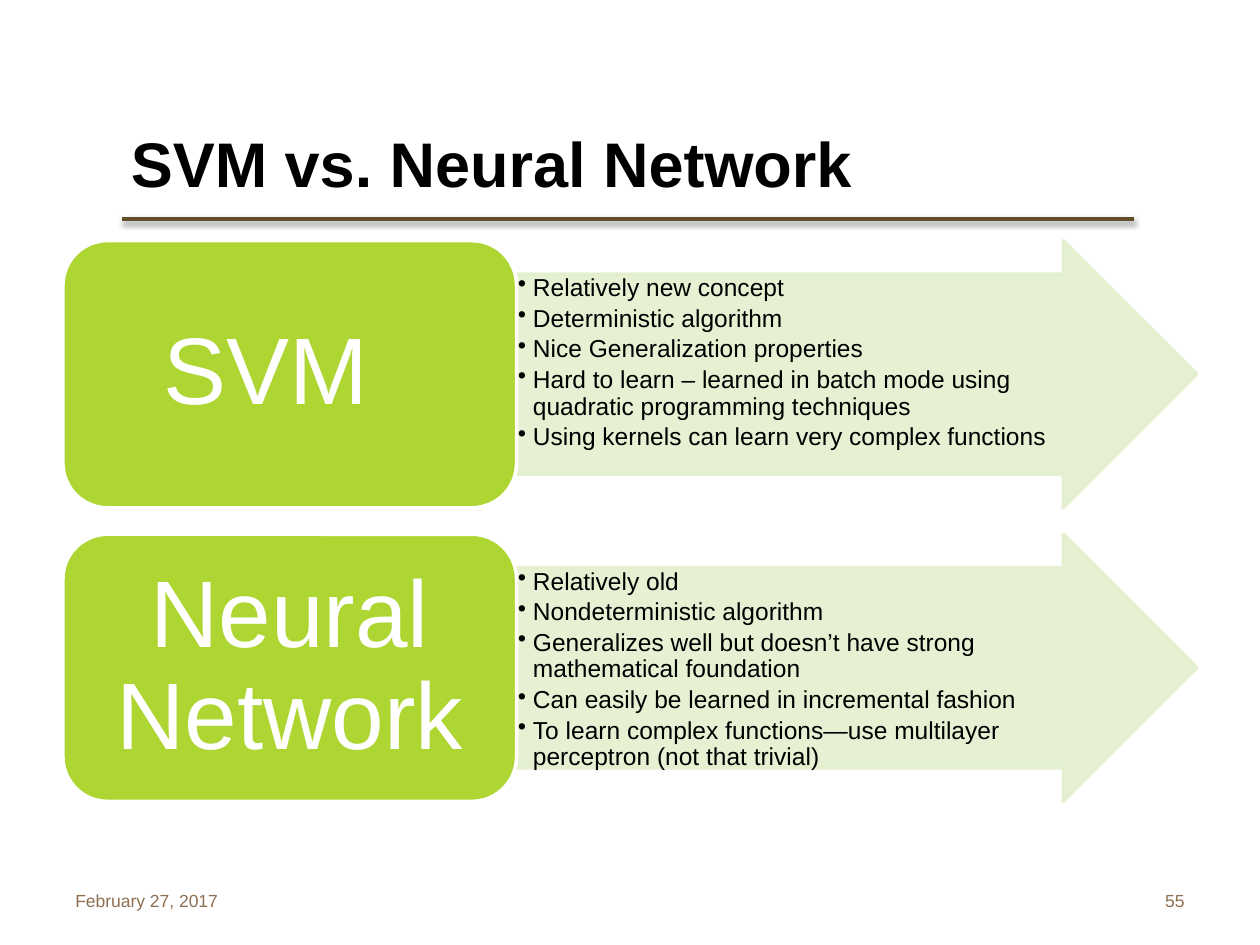
from dataclasses import dataclass

from lxml import etree
from pptx import Presentation
from pptx.dml.color import RGBColor
from pptx.enum.shapes import MSO_CONNECTOR, MSO_SHAPE
from pptx.enum.text import MSO_ANCHOR, PP_ALIGN
from pptx.oxml import parse_xml
from pptx.oxml.ns import nsdecls, qn
from pptx.util import Inches, Pt

LEFT, CENTER, RIGHT = PP_ALIGN.LEFT, PP_ALIGN.CENTER, PP_ALIGN.RIGHT
TOP, MIDDLE = MSO_ANCHOR.TOP, MSO_ANCHOR.MIDDLE
ARROW, ROUND = MSO_SHAPE.RIGHT_ARROW, MSO_SHAPE.ROUNDED_RECTANGLE
STRAIGHT = MSO_CONNECTOR.STRAIGHT


@dataclass(frozen=True)
class Theme:
    font: str = "Arial"
    ink: str = "000000"
    white: str = "FFFFFF"
    rule: str = "634D2A"
    note: str = "8F6F52"
    green: str = "ADD632"
    pale: str = "E3F0CE"
    title: int = 36
    label: int = 54
    body: int = 14
    small: int = 10


THEME = Theme()

ROWS = [
    ("SVM\t", [
        "Relatively new concept",
        "Deterministic algorithm",
        "Nice Generalization properties",
        "Hard to learn – learned in batch mode using quadratic programming techniques",
        "Using kernels can learn very complex functions",
    ]),
    ("Neural Network", [
        "Relatively old",
        "Nondeterministic algorithm",
        "Generalizes well but doesn’t have strong mathematical foundation",
        "Can easily be learned in incremental fashion",
        "To learn complex functions—use multilayer perceptron (not that trivial)",
    ]),
]


def add_bullet(para, indent):
    props = para._p.get_or_add_pPr()
    props.set("marL", str(Inches(indent)))
    props.set("indent", str(-Inches(indent)))
    etree.SubElement(props, qn("a:buChar")).set("char", "•")


def add_text(slide, box, lines, *, size, color=THEME.ink, bold=False, align=LEFT,
             anchor=MIDDLE, inset=(0.1, 0.05), spacing=None, after=0, bullet=None):
    frame = slide.shapes.add_textbox(*map(Inches, box)).text_frame
    frame.word_wrap = True
    frame.vertical_anchor = anchor
    frame.margin_left = frame.margin_right = Inches(inset[0])
    frame.margin_top = frame.margin_bottom = Inches(inset[1])
    for i, line in enumerate(lines):
        para = frame.add_paragraph() if i else frame.paragraphs[0]
        if bullet:
            add_bullet(para, bullet)
        para.alignment = align
        para.line_spacing = spacing
        para.space_after = Pt(after)
        run = para.add_run()
        run.text = line
        run.font.name = THEME.font
        run.font.size = Pt(size)
        run.font.bold = bold
        run.font.color.rgb = RGBColor.from_string(color)


def add_block(slide, kind, box, fill, line, alpha=None):
    shape = slide.shapes.add_shape(kind, *map(Inches, box))
    shape.shadow.inherit = False
    shape.fill.solid()
    shape.fill.fore_color.rgb = RGBColor.from_string(fill)
    shape.line.color.rgb = RGBColor.from_string(line)
    shape.line.width = Pt(2)
    if alpha:
        for tint in shape._element.spPr.iter(qn("a:srgbClr")):
            etree.SubElement(tint, qn("a:alpha")).set("val", str(alpha * 1000))
    return shape


def add_header(slide, box):
    x, y, w, h = box
    # Title
    add_text(slide, (x, y, w, h), ["SVM vs. Neural Network"],
             size=THEME.title, bold=True)
    # Rule with a soft shadow
    level = Inches(y + 0.92)
    rule = slide.shapes.add_connector(
        STRAIGHT, Inches(x + 0.03), level, Inches(x + w - 0.02), level)
    rule.line.color.rgb = RGBColor.from_string(THEME.rule)
    rule.line.width = Pt(2)
    rule._element.spPr.append(parse_xml(
        f'<a:effectLst {nsdecls("a")}>'
        f'<a:outerShdw blurRad="{Pt(3.1)}" dist="{Pt(1.6)}" dir="5400000" rotWithShape="0">'
        f'<a:srgbClr val="{THEME.ink}"><a:alpha val="38000"/></a:srgbClr>'
        '</a:outerShdw></a:effectLst>'))


def add_row(slide, box, label, points):
    x, y, w, h = box
    split = w * 0.4
    # Arrow with its points
    arrow = add_block(slide, ARROW, (x + split, y, w - split, h),
                      THEME.pale, THEME.pale, alpha=90)
    arrow.adjustments[0] = 0.75
    arrow.adjustments[1] = 0.5
    add_text(slide, (x + split, y + h / 8, w - split - 0.79, h * 0.75), points,
             size=THEME.body, anchor=TOP, inset=(0.01, 0.01),
             spacing=0.9, after=2.4, bullet=0.12)
    # Label block
    add_block(slide, ROUND, (x, y, split, h), THEME.green, THEME.white)
    pad = 0.1
    add_text(slide, (x + pad, y + pad, split - 2 * pad, h - 2 * pad), [label],
             size=THEME.label, color=THEME.white, align=CENTER,
             inset=(0.23, 0.11), spacing=0.9)


def add_footer(slide, box):
    x, y, w, h = box
    cell = 2.33
    for left, text, align in ((x, "February 27, 2017", LEFT),
                              (x + w - cell, "55", RIGHT)):
        add_text(slide, (left, y, cell, h), [text], size=THEME.small,
                 color=THEME.note, align=align)


def main():
    deck = Presentation()
    deck.slide_width, deck.slide_height = Inches(10), Inches(7.5)
    slide = deck.slides.add_slide(deck.slide_layouts[6])
    add_header(slide, (0.94, 0.82, 8.08, 0.94))
    for i, (label, points) in enumerate(ROWS):
        add_row(slide, (0.5, 1.91 + i * 2.33, 9, 2.12), label, points)
    add_footer(slide, (0.5, 6.95, 9, 0.4))
    deck.save("out.pptx")


if __name__ == "__main__":
    main()
